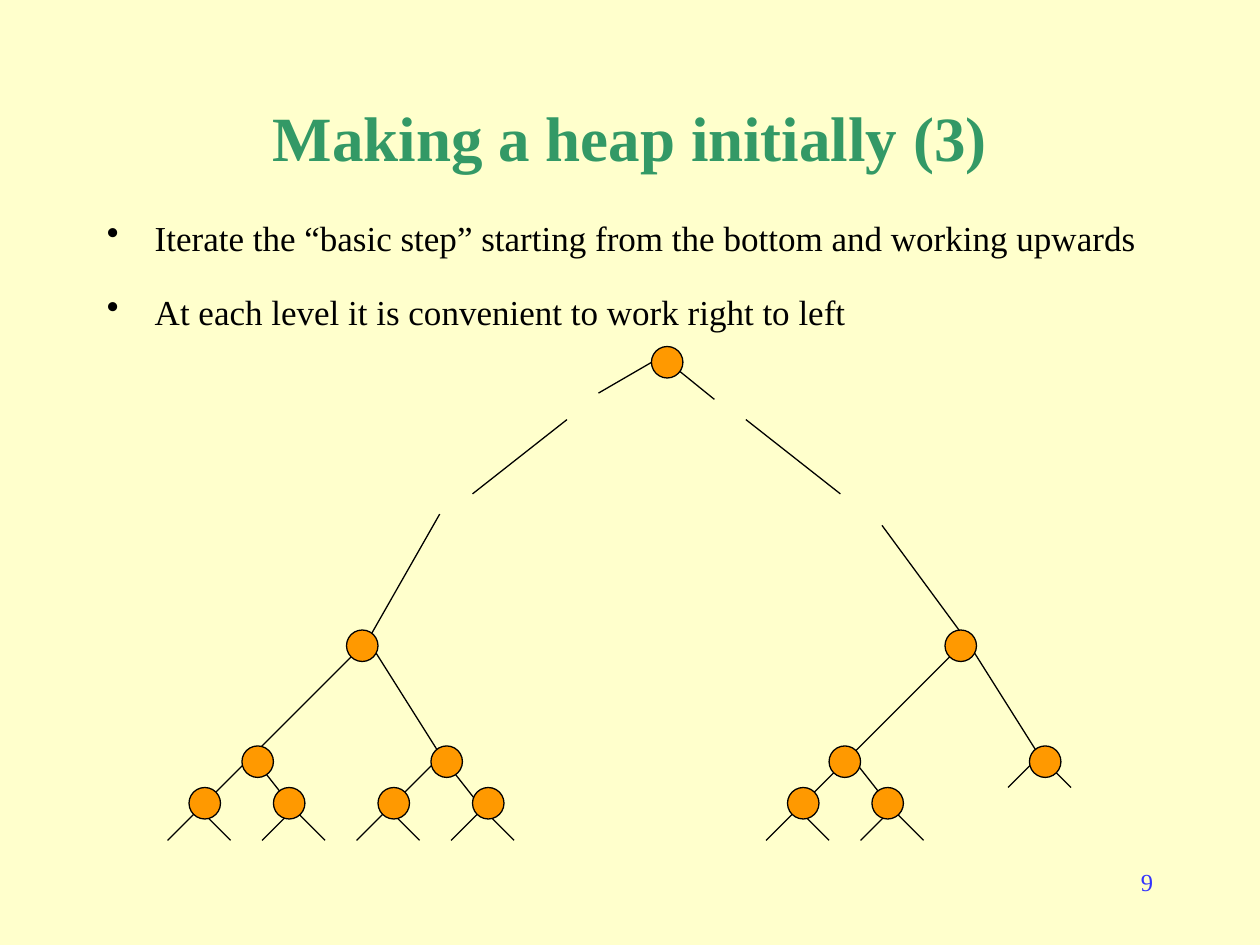
from dataclasses import dataclass

import pptx
import pptx.dml.color
import pptx.enum.shapes
import pptx.enum.text
import pptx.oxml
import pptx.oxml.ns
import pptx.util
from pptx.util import Inches

COLORS = {
    "background": "FFFFCC",
    "title": "339966",
    "text": "000000",
    "number": "3333FF",
    "node": "FF9900",
    "line": "000000",
}
FONT = "Times New Roman"
ALIGN = pptx.enum.text.PP_ALIGN
NODE_SIZE = 0.25
STUB = 0.25


@dataclass(frozen=True)
class Node:
    """A heap node: the point where its edges meet, and its circle's corner."""
    x: float
    y: float
    left: float
    top: float


def color(name: str) -> pptx.dml.color.RGBColor:
    return pptx.dml.color.RGBColor.from_string(COLORS[name])


def write(para, text: str, *, size: int, ink: str, bold: bool = False,
          align=ALIGN.LEFT) -> None:
    para.alignment = align
    span = para.add_run()
    span.text = text
    span.font.name = FONT
    span.font.size = pptx.util.Pt(size)
    span.font.bold = bold
    span.font.color.rgb = color(ink)


def add_bullet(para) -> None:
    properties = para._p.get_or_add_pPr()
    properties.set("marL", str(Inches(0.38)))
    properties.set("indent", str(-Inches(0.38)))
    bullet = pptx.oxml.parse_xml(
        f'<a:buChar {pptx.oxml.ns.nsdecls("a")} char="•"/>')
    properties.append(bullet)


def add_box(page, left: float, top: float, width: float, height: float):
    box = page.shapes.add_textbox(
        Inches(left), Inches(top), Inches(width), Inches(height))
    box.text_frame.word_wrap = True
    return box


def draw_line(page, x1: float, y1: float, x2: float, y2: float) -> None:
    line = page.shapes.add_connector(
        pptx.enum.shapes.MSO_CONNECTOR.STRAIGHT,
        Inches(x1), Inches(y1), Inches(x2), Inches(y2))
    line.line.color.rgb = color("line")
    line.line.width = pptx.util.Pt(0.75)
    line._element.spPr.append(
        pptx.oxml.parse_xml(f'<a:effectLst {pptx.oxml.ns.nsdecls("a")}/>'))


def draw_node(page, node: Node) -> None:
    circle = page.shapes.add_shape(
        pptx.enum.shapes.MSO_SHAPE.OVAL, Inches(node.left), Inches(node.top),
        Inches(NODE_SIZE), Inches(NODE_SIZE))
    circle.shadow.inherit = False
    circle.fill.solid()
    circle.fill.fore_color.rgb = color("node")
    circle.line.color.rgb = color("line")
    circle.line.width = pptx.util.Pt(0.75)


NODES = {
    "root": Node(5.25, 2.83, 5.17, 2.75),
    "left": Node(2.92, 5.08, 2.75, 5),
    "right": Node(7.67, 5.08, 7.5, 5),
    "left a": Node(2, 6, 1.92, 5.92),
    "left b": Node(3.5, 6, 3.42, 5.92),
    "right a": Node(6.75, 6, 6.58, 5.92),
    "right b": Node(8.25, 6, 8.17, 5.92),
    "left a1": Node(1.58, 6.42, 1.5, 6.25),
    "left a2": Node(2.33, 6.42, 2.17, 6.25),
    "left b1": Node(3.08, 6.42, 3, 6.25),
    "left b2": Node(3.83, 6.42, 3.75, 6.25),
    "right a1": Node(6.33, 6.42, 6.25, 6.25),
    "right a2": Node(7.08, 6.42, 6.92, 6.25),
}
CHILDREN = {
    "left": ("left a", "left b"),
    "right": ("right a", "right b"),
    "left a": ("left a1", "left a2"),
    "left b": ("left b1", "left b2"),
    "right a": ("right a1", "right a2"),
}
# Broken lines standing for the levels left out near the root
PARTIAL_EDGES = [
    (2.92, 5.08, 3.49, 4.08),
    (7.67, 5.08, 7, 4.17),
    (5.25, 2.83, 4.75, 3.12),
    (5.25, 2.83, 5.67, 3.17),
    (3.75, 3.92, 4.5, 3.33),
    (6.67, 3.92, 5.92, 3.33),
]
BULLETS = [
    "Iterate the “basic step” starting from the bottom and working upwards",
    "At each level it is convenient to work right to left",
]


def draw_tree(page) -> None:
    for name, node in NODES.items():
        if name in CHILDREN:
            for child in CHILDREN[name]:
                draw_line(page, node.x, node.y, NODES[child].x, NODES[child].y)
        elif name != "root":
            for side in (-STUB, STUB):
                draw_line(page, node.x, node.y, node.x + side, node.y + STUB)
    for edge in PARTIAL_EDGES:
        draw_line(page, *edge)
    for node in NODES.values():
        draw_node(page, node)


def main() -> None:
    deck = pptx.Presentation()
    deck.slide_width, deck.slide_height = Inches(10), Inches(7.5)
    page = deck.slides.add_slide(deck.slide_layouts.get_by_name("Title Only"))
    page.background.fill.solid()
    page.background.fill.fore_color.rgb = color("background")

    # Title
    title = page.shapes.title
    title.left, title.top = Inches(0.75), Inches(0.67)
    title.width, title.height = Inches(8.5), Inches(0.83)
    title.text_frame.vertical_anchor = pptx.enum.text.MSO_ANCHOR.MIDDLE
    write(title.text_frame.paragraphs[0], "Making a heap initially (3)",
          size=36, ink="title", bold=True, align=ALIGN.CENTER)

    # Bullets
    frame = add_box(page, 0.75, 1.67, 8.5, 1.25).text_frame
    for index, text in enumerate(BULLETS):
        para = frame.add_paragraph() if index else frame.paragraphs[0]
        add_bullet(para)
        if index:
            para.space_before = pptx.util.Pt(18)
        write(para, text, size=20, ink="text")

    # Heap tree
    draw_tree(page)

    # Slide number
    number = add_box(page, 7.17, 6.83, 2.08, 0.5)
    write(number.text_frame.paragraphs[0], "9", size=14, ink="number",
          align=ALIGN.RIGHT)

    deck.save("out.pptx")


if __name__ == "__main__":
    main()
